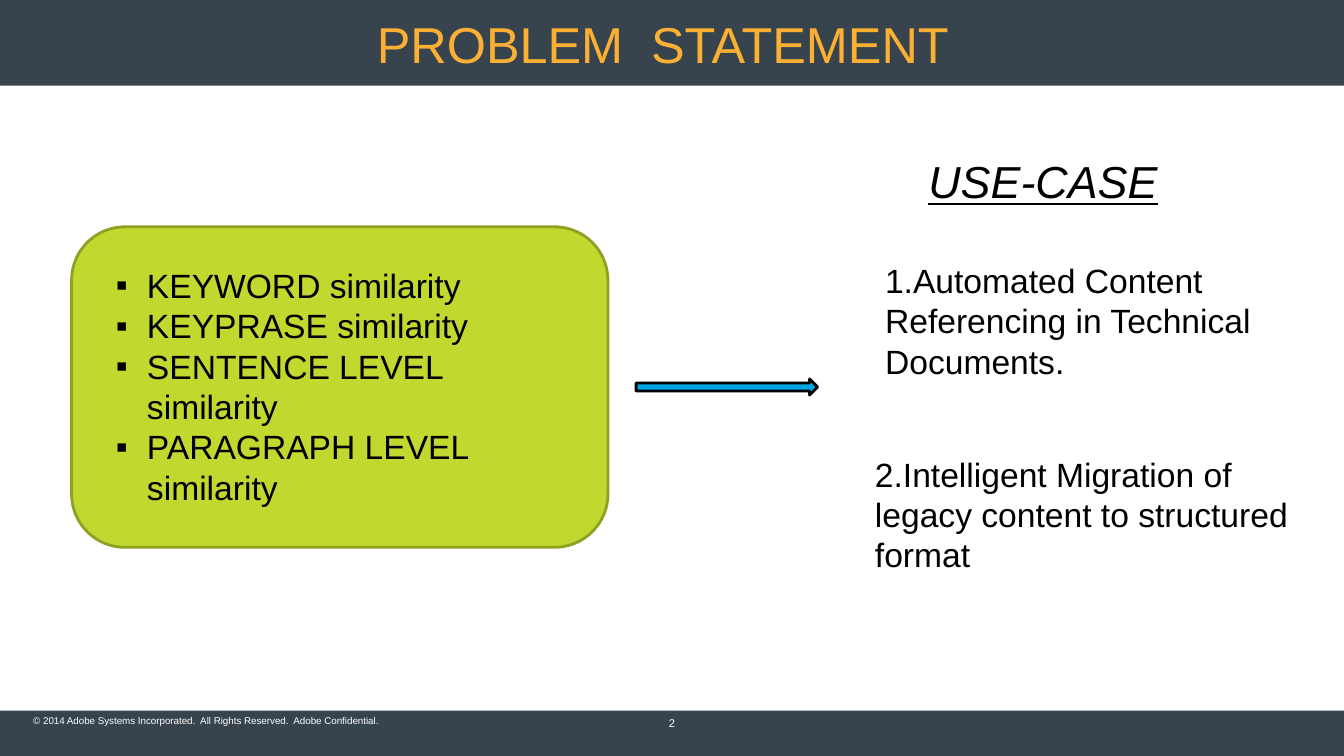
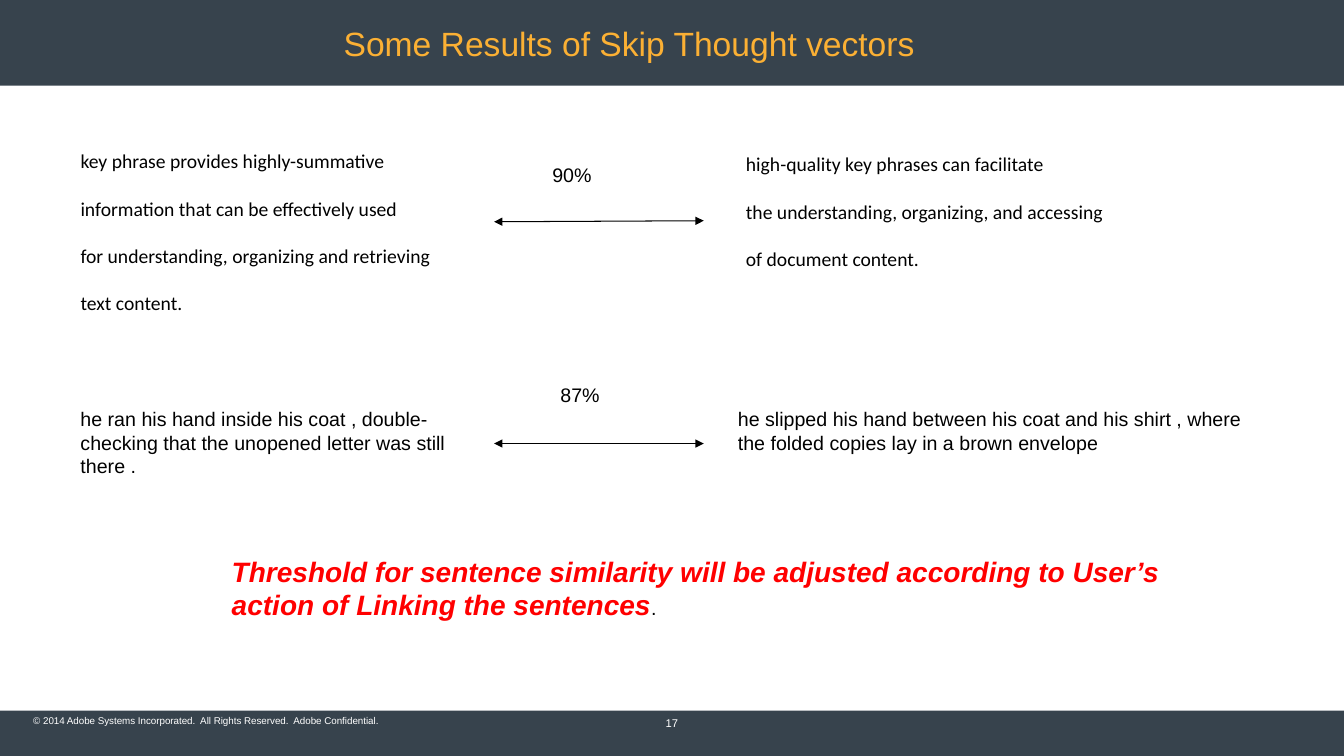
import pptx
import pptx.util
import pptx.dml.color
import pptx.enum.shapes
import pptx.enum.text
import pptx.oxml
import pptx.oxml.ns

Pt = pptx.util.Pt
RGB = pptx.dml.color.RGBColor
KIND = pptx.enum.shapes.MSO_SHAPE
ANCHOR = pptx.enum.text.MSO_ANCHOR
ALIGN = pptx.enum.text.PP_ALIGN

SLATE = RGB(0x37, 0x43, 0x4D)
AMBER = RGB(0xFB, 0xB0, 0x34)
LIME = RGB(0xC1, 0xD8, 0x2F)
OLIVE = RGB(0x8F, 0xA0, 0x23)
BLUE = RGB(0x00, 0xA4, 0xE4)
RED = RGB(0xFF, 0x00, 0x00)
BLACK = RGB(0x00, 0x00, 0x00)
WHITE = RGB(0xFF, 0xFF, 0xFF)

WIDE, HIGH = 1333, 750
BANDS = [(0, 705, WIDE, 45), (0, 0, WIDE, 85)]
RIGHTS = "© 2014 Adobe Systems Incorporated.  All Rights Reserved.  Adobe Confidential."

LEVELS = ["KEYWORD similarity", "KEYPRASE similarity",
          "SENTENCE LEVEL similarity", "PARAGRAPH LEVEL similarity"]
CASES = [
    ((868, 253, 460, 131), "1.Automated Content Referencing in Technical Documents."),
    ((858, 445, 460, 131), "2.Intelligent Migration of legacy content to structured format"),
]

PHRASES = [
    ((70, 143, 379, 175), ["key phrase provides highly-summative",
                           "information that can be effectively used",
                           "for understanding, organizing and retrieving",
                           "text content."]),
    ((730, 146, 380, 128), ["high-quality key phrases can facilitate",
                            "the understanding, organizing, and accessing",
                            "of document content."]),
]
QUOTES = [
    ((70, 399, 420, 81), "he ran his hand inside his coat , double-checking that the unopened letter was still there ."),
    ((722, 399, 530, 57), "he slipped his hand between his coat and his shirt , where the folded copies lay in a brown envelope"),
]
SCORES = [((538, 157, 94, 34), "90%", 220, 219), ((546, 375, 86, 34), "87%", 440, 440)]
RULE = "Threshold for sentence similarity will be adjusted according to User’s action of Linking the sentences"


def px(n):
    return pptx.util.Emu(n * 9144)


def node(parent, tag, **attrs):
    item = pptx.oxml.ns.qn("a:" + tag)
    child = parent.makeelement(item, attrs)
    parent.append(child)
    return child


def style(font, size, color, face="Arial", **flags):
    font.size, font.name, font.color.rgb = Pt(size), face, color
    for name, value in flags.items():
        setattr(font, name, value)


def write(slide, box, lines, size, color=BLACK, face="Arial", inset=(10, 5),
          anchor=ANCHOR.TOP, align=ALIGN.LEFT, gap=0, bullet=None, **flags):
    frame = slide.shapes.add_textbox(*map(px, box)).text_frame
    frame.word_wrap = True
    frame.vertical_anchor = anchor
    frame.margin_left = frame.margin_right = px(inset[0])
    frame.margin_top = frame.margin_bottom = px(inset[1])
    frame.text = "\n".join([lines] if isinstance(lines, str) else lines)
    for i, para in enumerate(frame.paragraphs):
        para.alignment = align
        if gap and i:
            para.space_before = Pt(gap)
        if bullet:
            props = para._p.get_or_add_pPr()
            props.set("marL", str(px(31)))
            props.set("indent", str(-px(31)))
            node(props, "buFont", typeface="Arial")
            node(props, "buChar", char=bullet)
        for run in para.runs:
            style(run.font, size, color, face, **flags)
    return frame


def block(slide, kind, box, fill, edge=None):
    shape = slide.shapes.add_shape(kind, *map(px, box))
    shape.shadow.inherit = False
    shape.fill.solid()
    shape.fill.fore_color.rgb = fill
    if edge is None:
        shape.line.fill.background()
    else:
        shape.line.color.rgb = edge
        shape.line.width = Pt(2)


def link(slide, start, end):
    line = slide.shapes.add_connector(
        pptx.enum.shapes.MSO_CONNECTOR.STRAIGHT, *map(px, start + end))
    line.line.color.rgb = BLACK
    line.line.width = Pt(0.75)
    edge = line.line._get_or_add_ln()
    for tag in ("headEnd", "tailEnd"):
        node(edge, tag, type="triangle")
    node(line._element.spPr, "effectLst")


def start(deck, title, left, size, number):
    slide = deck.slides.add_slide(deck.slide_layouts[6])
    for band in BANDS:
        block(slide, KIND.RECTANGLE, band, SLATE)
    write(slide, (33, 709, 567, 12), RIGHTS, 7, WHITE, inset=(0, 0), anchor=ANCHOR.BOTTOM)
    write(slide, (left, 20, 1300 - left, 45), title, size, AMBER, anchor=ANCHOR.MIDDLE)
    write(slide, (611, 708, 111, 18), number, 8, WHITE, inset=(12, 6),
          anchor=ANCHOR.MIDDLE, align=ALIGN.CENTER)
    return slide


def problem(deck):
    slide = start(deck, "PROBLEM  STATEMENT", 364, 36, "2")
    block(slide, KIND.ROUNDED_RECTANGLE, (71, 225, 532, 318), LIME, OLIVE)
    write(slide, (105, 258, 464, 252), LEVELS, 24, bullet="▪")
    block(slide, KIND.RIGHT_ARROW, (631, 376, 180, 16), BLUE, BLACK)
    write(slide, (911, 148, 313, 64), "USE-CASE", 32, italic=True, underline=True)
    for box, text in CASES:
        write(slide, box, text, 24)


def results(deck):
    slide = start(deck, "Some Results of Skip Thought vectors", 331, 24, "17")
    for box, lines in PHRASES:
        write(slide, box, lines, 14, face="Calibri", gap=17)
    for box, text in QUOTES:
        write(slide, box, text, 14)
    for box, text, left, right in SCORES:
        write(slide, box, text, 14)
        link(slide, (490, left), (698, right))
    frame = write(slide, (220, 545, 978, 77), RULE, 20, RED, bold=True, italic=True)
    stop = frame.paragraphs[0].add_run()
    stop.text = "."
    style(stop.font, 14, BLACK)


def main():
    deck = pptx.Presentation()
    deck.slide_width, deck.slide_height = px(WIDE), px(HIGH)
    problem(deck)
    results(deck)
    deck.save("out.pptx")


if __name__ == "__main__":
    main()
